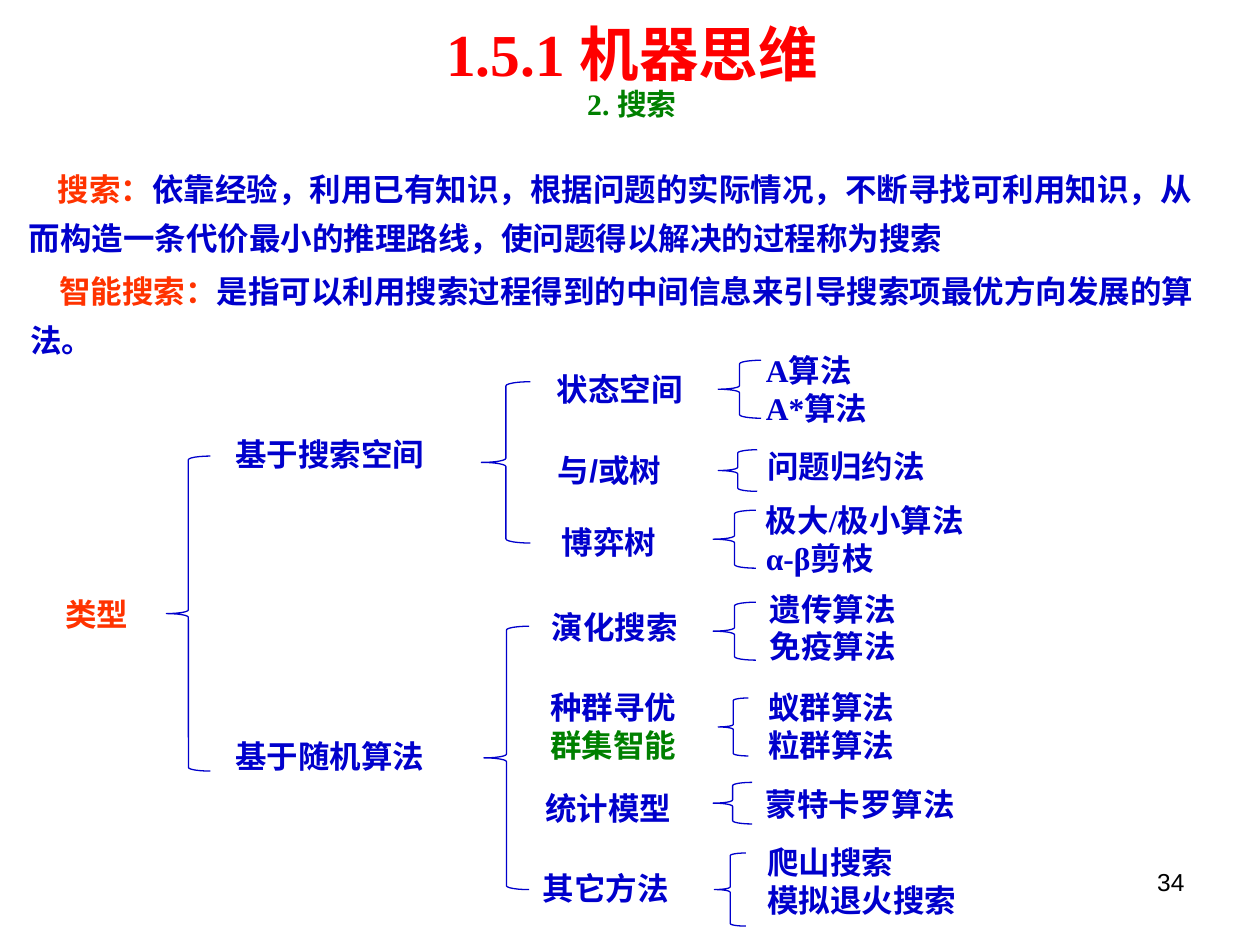
from collections import namedtuple

from pptx import Presentation
from pptx.dml.color import RGBColor
from pptx.enum.shapes import MSO_SHAPE
from pptx.enum.text import MSO_AUTO_SIZE, PP_ALIGN
from pptx.oxml.ns import qn
from pptx.util import Inches, Pt
from lxml import etree

# The slide is a grid of 100 columns by 75 rows
COLS, ROWS = 100, 75
SLIDE_W, SLIDE_H = Inches(10), Inches(7.5)
Box = namedtuple("Box", "x y w h")

BLUE, RED, ORANGE, GREEN, BLACK = "0000CC", "FF0000", "FF3300", "008000", "000000"
SERIF, SANS, CJK = "Times New Roman", "Arial", "Noto Sans CJK SC"

# Label lines, label box, brace box, leaf lines, leaf box: all relative to the tree
SPACE_ROWS = [
    (["状态空间"], (39.2, 1.9, 12), (53, 1.6, 3.4, 4.6), ["A算法", "A*算法"], (55.8, 0.4, 15.2)),
    (["与/或树"], (39.3, 8.3, 10.2), (53, 8.7, 3.1, 3.3), ["问题归约法"], (55.9, 8, 17.6)),
    (["博弈树"], (39.6, 14, 9.5), (52.6, 13.5, 3.4, 4.6), ["极大/极小算法", "α-β剪枝"], (55.8, 12.3, 21.8)),
]
RANDOM_ROWS = [
    (["演化搜索"], (38.8, 20.8, 13.4), (52.6, 20.8, 3.4, 4.6), ["遗传算法", "免疫算法"], (56.1, 19.3, 17.2)),
    (["种群寻优", "群集智能"], (38.7, 27.1, 13.4), (53, 28.4, 2.4, 4.6), ["蚁群算法", "粒群算法"], (56, 27.1, 17.2)),
    (["统计模型"], (38.3, 35.1, 13.4), (52.6, 35.1, 3.1, 3.3), ["蒙特卡罗算法"], (55.8, 34.8, 20.4)),
    (["其它方法"], (38.1, 41.5, 13.2), (52.7, 40.7, 2.5, 5.8), ["爬山搜索", "模拟退火搜索"], (55.9, 39.4, 20.4)),
]


def color(hex_value):
    return RGBColor.from_string(hex_value)


def emu(box):
    return (int(box.x * SLIDE_W / COLS), int(box.y * SLIDE_H / ROWS),
            int(box.w * SLIDE_W / COLS), int(box.h * SLIDE_H / ROWS))


def inside(parent, x, y, w, h):
    return Box(parent.x + x, parent.y + y, w, h)


def add_run(p, text, hex_value, size=18, font=SERIF, bold=True):
    r = p.add_run()
    r.text = text
    r.font.size, r.font.name, r.font.bold = Pt(size), font, bold
    r.font.color.rgb = color(hex_value)
    etree.SubElement(r.font._element, qn("a:ea")).set("typeface", CJK)


def add_text_frame(s, box, wrap=True, grow=True):
    tf = s.shapes.add_textbox(*emu(box)).text_frame
    tf.word_wrap = wrap
    tf.auto_size = MSO_AUTO_SIZE.SHAPE_TO_FIT_TEXT if grow else MSO_AUTO_SIZE.NONE
    return tf


def add_label(s, tree, place, lines, font=SERIF, colors=(BLUE, BLUE), justified=False):
    tf = add_text_frame(s, inside(tree, *place, 1 + 3 * len(lines)), wrap=not justified)
    for i, (line, hex_value) in enumerate(zip(lines, colors)):
        p = tf.add_paragraph() if i else tf.paragraphs[0]
        if justified:
            p.alignment = PP_ALIGN.JUSTIFY
        add_run(p, line, hex_value, font=font)


def add_brace(s, tree, place):
    sp = s.shapes.add_shape(MSO_SHAPE.LEFT_BRACE, *emu(inside(tree, *place)))
    sp.shadow.inherit = False
    sp.fill.background()
    sp.line.color.rgb = color(BLUE)
    sp.line.width = Pt(0.75)


def header(s, box):
    p = add_text_frame(s, box, grow=False).paragraphs[0]
    p.alignment = PP_ALIGN.CENTER
    p.line_spacing = 0.9
    add_run(p, "1.5.1 机器思维", RED, size=34)
    p.add_line_break()
    add_run(p, "2. 搜索", GREEN, size=17)


def definition(s, box, term, meaning):
    p = add_text_frame(s, box).paragraphs[0]
    p._p.get_or_add_pPr().set("indent", str(Inches(0.23)))
    p.line_spacing = Pt(28)
    add_run(p, term, ORANGE, font=SANS)
    add_run(p, meaning, BLUE, font=SANS)


def search_tree(s, tree):
    # Root and its two branches
    add_label(s, tree, (0.2, 19.7, 7.7), ["类型"], colors=[ORANGE])
    add_brace(s, tree, (9.2, 9.2, 3.5, 25))
    add_label(s, tree, (13.7, 7, 20.4), ["基于搜索空间"], font=CJK)
    add_brace(s, tree, (34.2, 3.3, 3.9, 12.8))
    add_label(s, tree, (13.7, 31, 17.8), ["基于随机算法"], font=CJK)
    add_brace(s, tree, (34.4, 22.7, 3.6, 20.9))

    # Methods, each with its algorithms
    for rows, justified in ((SPACE_ROWS, True), (RANDOM_ROWS, False)):
        for names, name_at, brace_at, leaves, leaves_at in rows:
            add_label(s, tree, name_at, names, font=SANS if justified else SERIF,
                      colors=(BLUE, GREEN), justified=justified)
            add_brace(s, tree, brace_at)
            add_label(s, tree, leaves_at, leaves)


def page_number(s, box):
    p = add_text_frame(s, box, grow=False).paragraphs[0]
    p.alignment = PP_ALIGN.RIGHT
    add_run(p, "34", BLACK, size=14, font=SANS, bold=False)


def main():
    prs = Presentation()
    prs.slide_width, prs.slide_height = SLIDE_W, SLIDE_H
    s = prs.slides.add_slide(prs.slide_layouts[6])
    header(s, Box(2.7, 1.5, 94.9, 9.8))
    definition(s, Box(1.3, 12.1, 96.1, 8.8), "搜索：",
               "依靠经验，利用已有知识，根据问题的实际情况，不断寻找可利用知识，"
               "从而构造一条代价最小的推理路线，使问题得以解决的过程称为搜索")
    definition(s, Box(1.4, 20.2, 96.1, 8.8), "智能搜索：",
               "是指可以利用搜索过程得到的中间信息来引导搜索项最优方向发展的算法。")
    search_tree(s, Box(4, 27, 78, 47))
    page_number(s, Box(71.7, 68.3, 23.3, 5.2))
    prs.save("out.pptx")


if __name__ == "__main__":
    main()
